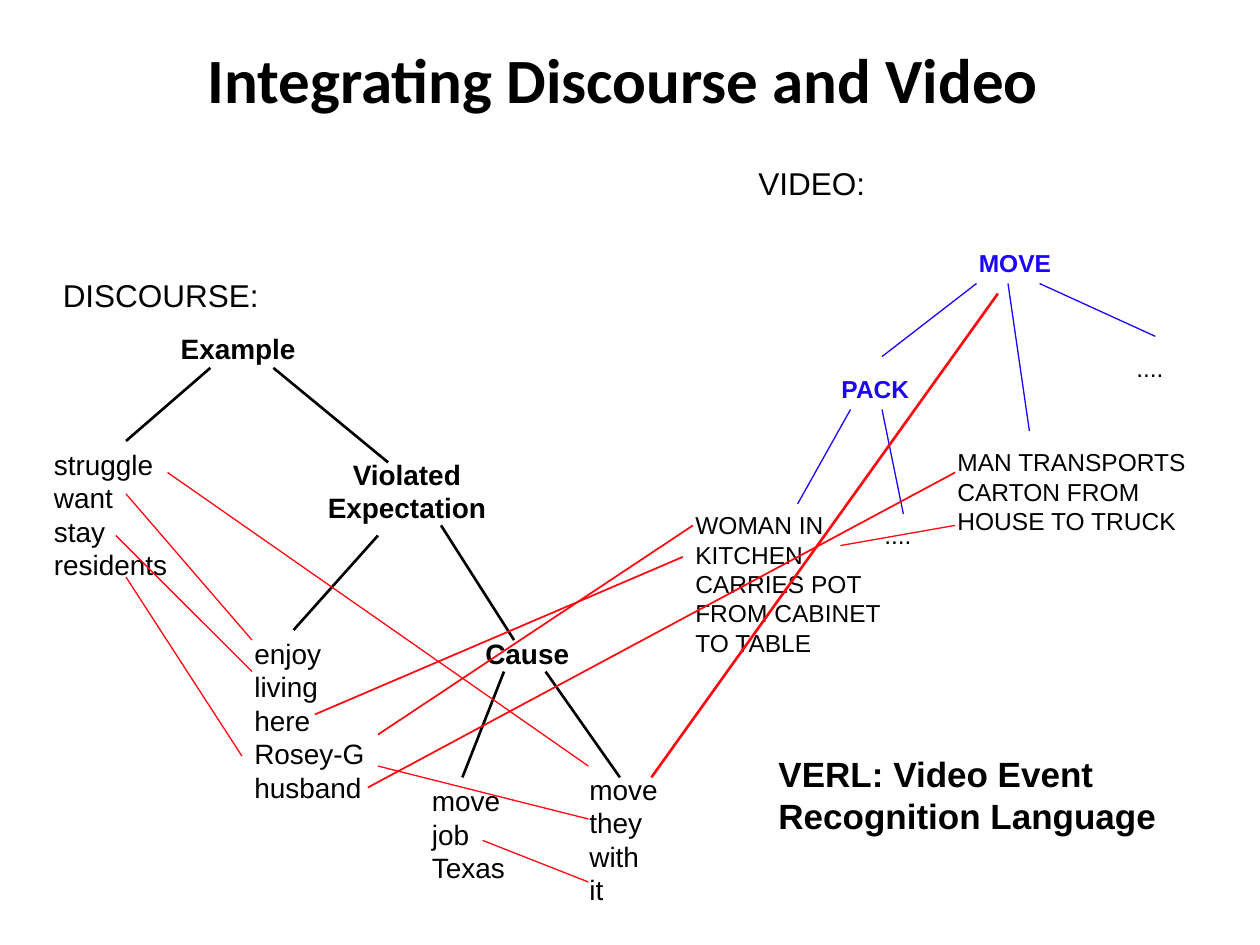
from pptx import Presentation
from pptx.dml.color import RGBColor
from pptx.enum.shapes import MSO_CONNECTOR as Connector
from pptx.enum.text import MSO_ANCHOR as Anchor, MSO_AUTO_SIZE as AutoSize, PP_ALIGN as Align
from pptx.oxml.ns import qn
from pptx.util import Inches, Pt
from lxml.etree import SubElement

BLACK, RED, BLUE = "000000", "FF0710", "1B02FF"

HEADINGS = [
    ("DISCOURSE:", (0.4, 2.14, 1.76, 0.4)),
    ("VIDEO:", (5.92, 1.25, 1.05, 0.4)),
]
RELATIONS = [
    ("Example", (1.33, 2.58, 1.12, 0.37)),
    ("Violated\nExpectation", (2.5, 3.58, 1.46, 0.64)),
    ("Cause", (3.75, 5, 0.87, 0.37)),
]
SEGMENTS = [
    ("struggle\nwant\nstay\nresidents", (0.33, 3.5, 1.1, 1.17)),
    ("enjoy\nliving\nhere\nRosey-G\nhusband", (1.92, 5, 1.08, 1.44)),
    ("move\njob\nTexas", (3.33, 6.17, 0.81, 0.9)),
    ("move\nthey\nwith\nit", (4.58, 6.08, 0.74, 1.17)),
]
EVENTS = [
    ("MOVE", (7.67, 1.92, 0.8, 0.33)),
    ("PACK", (6.58, 2.92, 0.78, 0.33)),
]
SCENES = [
    ("WOMAN IN\nKITCHEN\nCARRIES POT\nFROM CABINET\nTO TABLE", (5.42, 4, 1.67, 1.26)),
    ("MAN TRANSPORTS\nCARTON FROM\nHOUSE TO TRUCK", (7.5, 3.5, 2.02, 0.8)),
    ("....", (6.92, 4.08, 0.42, 0.33)),
    ("....", (8.92, 2.75, 0.42, 0.33)),
]

DISCOURSE_BRANCHES = [
    (1, 3.5, 1.67, 2.92), (3.08, 3.67, 2.17, 2.92),
    (2.33, 5, 3, 4.25), (4.08, 5.08, 3.5, 4.17),
    (3.67, 6.17, 4, 5.33), (4.92, 6.17, 4.33, 5.33),
]
VIDEO_BRANCHES = [
    (7, 2.83, 7.75, 2.25), (8.17, 3.42, 8, 2.25), (8.25, 2.25, 9.17, 2.67),
    (6.33, 4, 6.75, 3.25), (7, 3.25, 7.17, 4.08),
]
WORD_LINKS = [
    (1, 3.92, 2, 5.08), (0.92, 4.25, 2, 5.33), (1, 4.58, 1.92, 6),
    (4.67, 7, 3.83, 6.67), (4.67, 6.5, 3, 6.08), (1.33, 3.75, 4.67, 6.08),
    (7.58, 4.17, 6.67, 4.33),
]
SCENE_LINKS = [
    (5.5, 4.17, 3, 5.83), (5.42, 4.42, 2.5, 5.67), (7.58, 3.75, 2.92, 6.25),
]
EVENT_LINKS = [(7.92, 2.33, 5.17, 6.17)]


def rgb(value):
    """Turn a hex string into a colour."""
    return RGBColor.from_string(value)


def add_text(slide, text, place, size=16, color=BLACK, bold=False, font="Arial",
             align=Align.LEFT, anchor=Anchor.TOP, wrap=False, grow=True):
    """Add a text box with one paragraph for each line of text."""
    frame = slide.shapes.add_textbox(*map(Inches, place)).text_frame
    frame.text = text
    frame.word_wrap = wrap
    frame.vertical_anchor = anchor
    frame.auto_size = AutoSize.SHAPE_TO_FIT_TEXT if grow else AutoSize.NONE
    for paragraph in frame.paragraphs:
        paragraph.alignment = align
        paragraph.font.name = font
        paragraph.font.size = Pt(size)
        paragraph.font.bold = bold
        paragraph.font.color.rgb = rgb(color)


def add_labels(slide, labels, **style):
    """Add a group of labels that share one format."""
    for text, place in labels:
        add_text(slide, text, place, **style)


def add_lines(slide, lines, color, width):
    """Add a group of straight lines that share one colour and width."""
    for ends in lines:
        line = slide.shapes.add_connector(Connector.STRAIGHT, *map(Inches, ends))
        line.line.color.rgb = rgb(color)
        line.line.width = Pt(width)
        SubElement(line.element.spPr, qn("a:effectLst"))


def main():
    """Build the slide and save it."""
    deck = Presentation()
    deck.slide_width, deck.slide_height = Inches(10), Inches(7.5)
    slide = deck.slides.add_slide(deck.slide_layouts[6])

    add_text(slide, "Integrating Discourse and Video ", (0.75, 0, 8.5, 1.25), size=36,
             bold=True, font="Calibri", align=Align.CENTER, anchor=Anchor.MIDDLE,
             wrap=True, grow=False)
    add_labels(slide, HEADINGS, size=18)
    add_labels(slide, RELATIONS, bold=True, align=Align.CENTER)
    add_labels(slide, SEGMENTS)
    add_labels(slide, EVENTS, size=14, color=BLUE, bold=True)
    add_labels(slide, SCENES, size=14)
    add_text(slide, "VERL: Video Event Recognition Language", (6.08, 5.92, 4.33, 0.77),
             size=20, bold=True, wrap=True)

    add_lines(slide, DISCOURSE_BRANCHES, BLACK, 1.5)
    add_lines(slide, VIDEO_BRANCHES, BLUE, 0.75)
    add_lines(slide, WORD_LINKS, RED, 0.75)
    add_lines(slide, SCENE_LINKS, RED, 1)
    add_lines(slide, EVENT_LINKS, RED, 1.5)

    deck.save("out.pptx")


if __name__ == "__main__":
    main()
